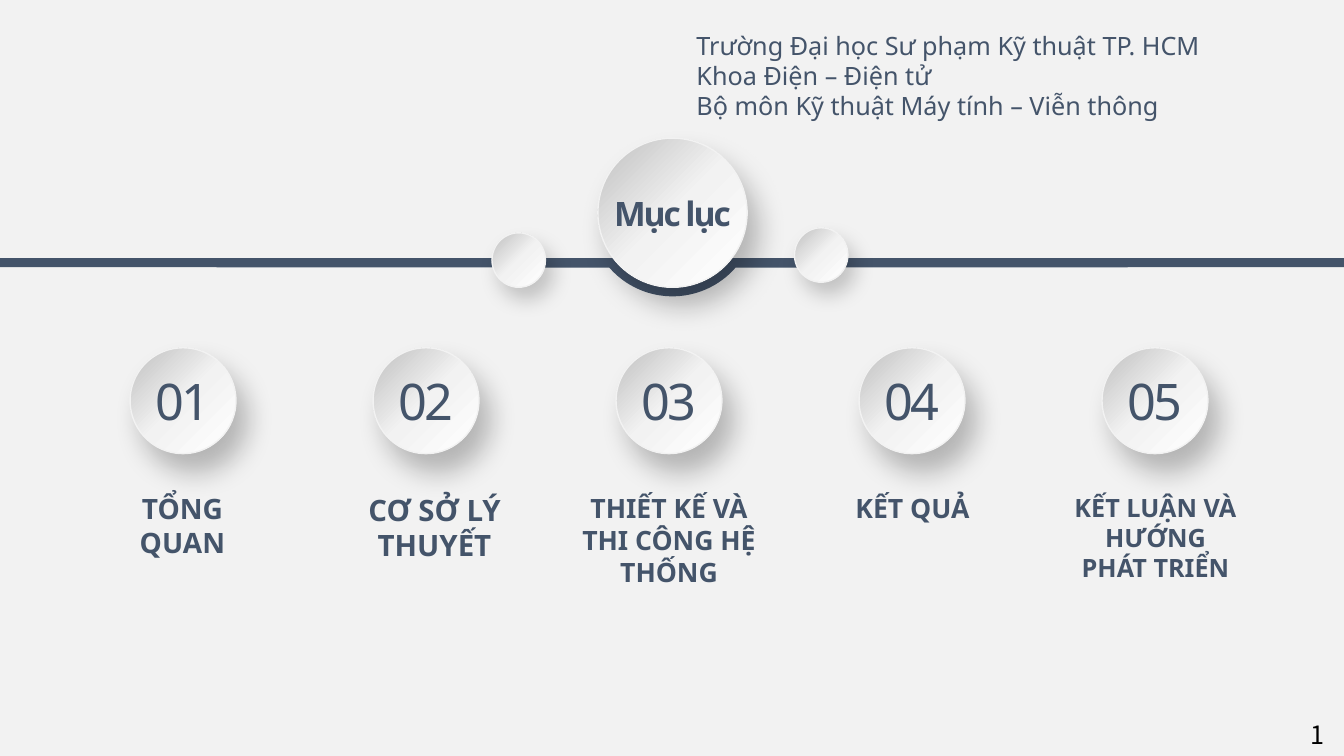
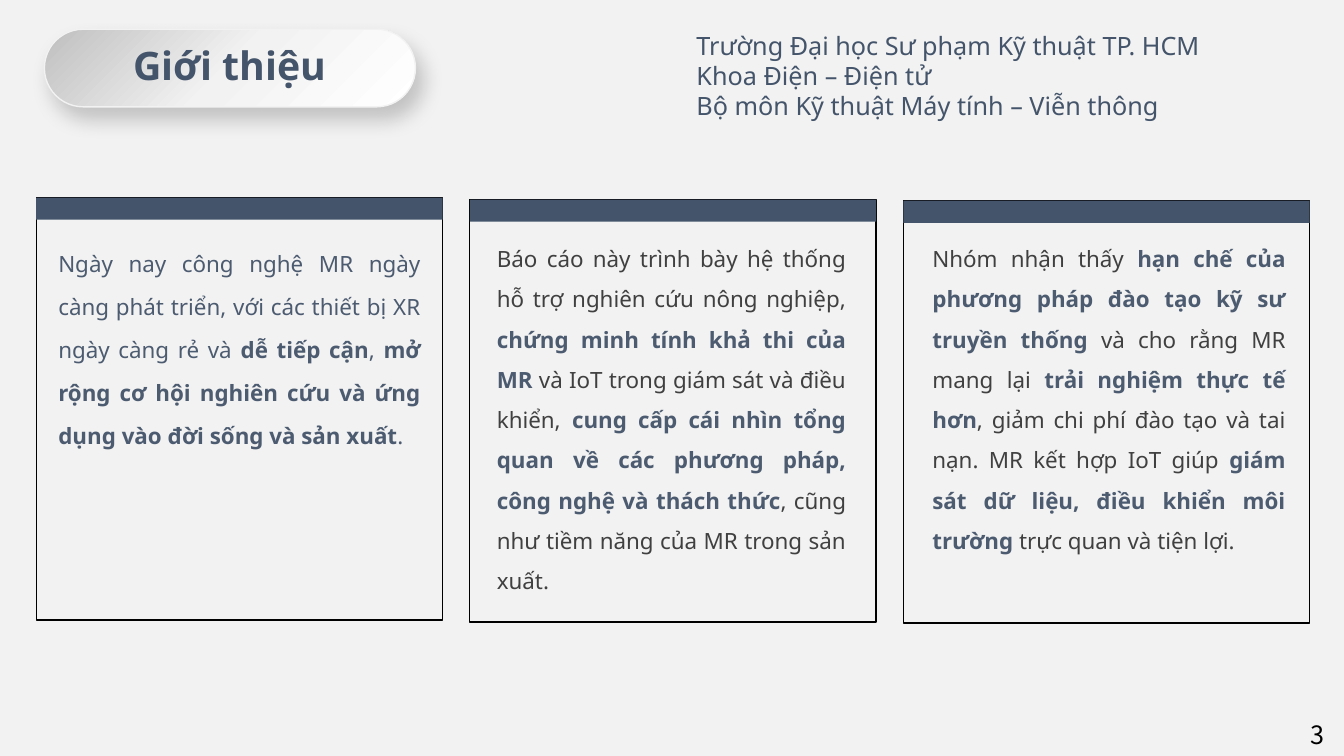
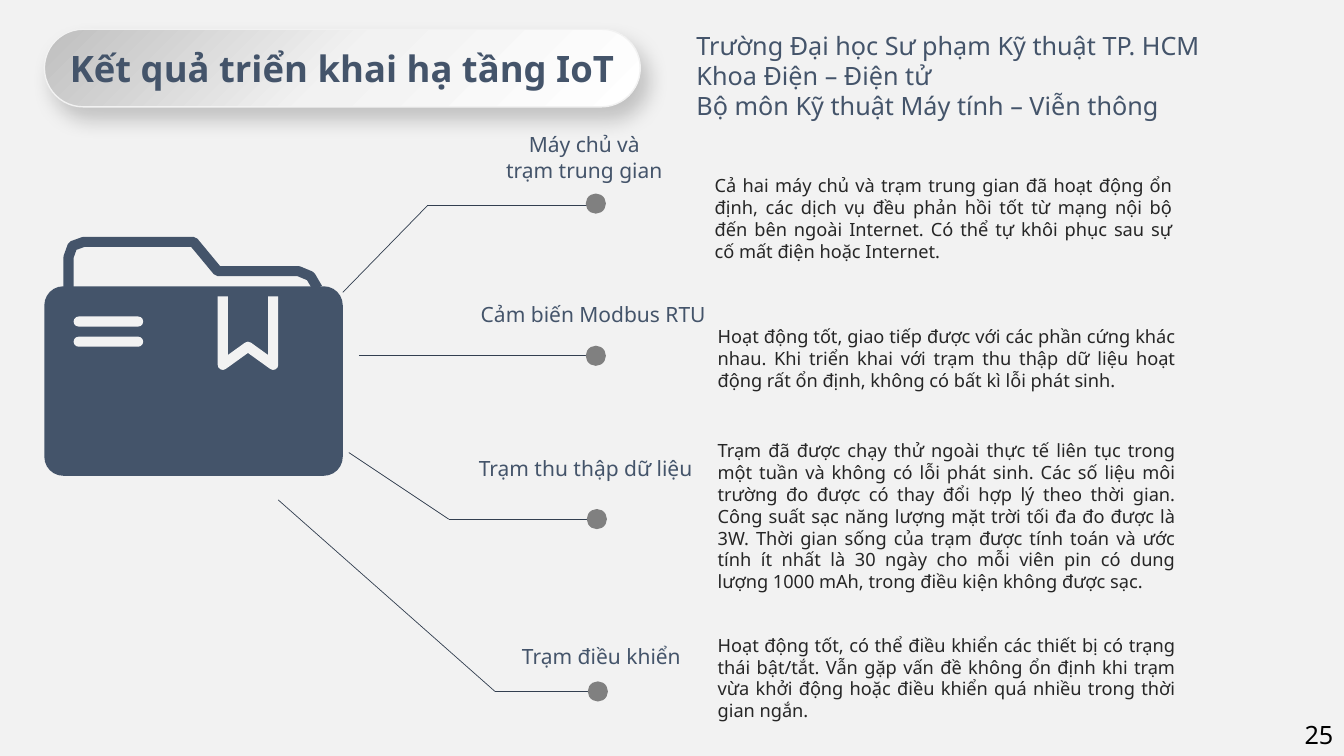
"""Builds three slides of a thesis talk: contents, introduction and IoT results."""
import math
from dataclasses import dataclass

from pptx import Presentation, util as u
from pptx.dml.color import RGBColor
from pptx.enum import shapes, text
from pptx.oxml import parse_xml
from pptx.oxml.ns import nsdecls


@dataclass(frozen=True)
class Theme:
    font: str = "Noto Sans"
    num: str = "Noto Sans CJK SC"
    navy: str = "44546A"
    slate: str = "4C5B70"
    pale: str = "F2F2F2"
    grey: str = "BFBFBF"
    white: str = "FFFFFF"
    black: str = "000000"
    dot: str = "808080"
    wire: str = "333F50"
    dark: str = "404040"
    ink: str = "262626"
    head: int = 18
    index: int = 36
    card: int = 16
    label: int = 15
    body: int = 13
    deep: tuple = (25, 20, 15)
    soft: tuple = (20, 15, 10)


T = Theme()
FORM = shapes.MSO_SHAPE
LEFT, MID, JUST = text.PP_ALIGN.LEFT, text.PP_ALIGN.CENTER, text.PP_ALIGN.JUSTIFY


def write(box, words, size, tint=T.navy, bold=False, align=LEFT, gap=None,
          font=T.font, track=0, hot=T.slate):
    """Fills a shape with text; parts between asterisks are bold."""
    frame = box.text_frame
    frame.word_wrap = True
    frame.auto_size = text.MSO_AUTO_SIZE.NONE
    for row, line in enumerate(words.split("\n")):
        para = frame.add_paragraph() if row else frame.paragraphs[0]
        para.alignment = align
        if gap:
            para.line_spacing = gap
        for part, piece in enumerate(line.split("*")):
            run = para.add_run()
            run.text = piece
            run.font.name, run.font.size = font, u.Pt(size)
            run.font.bold = bold or part % 2 == 1
            run.font.color.rgb = RGBColor.from_string(hot if part % 2 else tint)
            if track:
                run.font._element.set("spc", str(track))


def paint(shape, tint=None, edge=None, width=1, glow=None):
    """Sets fill and line; glow gives the raised look with a shadow."""
    shape.shadow.inherit = False
    if tint:
        shape.fill.solid()
        shape.fill.fore_color.rgb = RGBColor.from_string(tint)
    else:
        shape.fill.background()
    if edge:
        shape.line.color.rgb = RGBColor.from_string(edge)
        shape.line.width = u.Pt(width)
    else:
        shape.line.fill.background()
    if glow:
        alpha, blur, far = glow
        shape.fill.gradient()
        shape.fill.gradient_angle = 315
        stops = "".join(
            f'<a:gs pos="{pos}000"><a:srgbClr val="{shade}"/></a:gs>'
            for pos, shade in ((0, T.grey), (50, T.pale), (100, T.white)))
        old = shape._element.spPr.find(".//{*}gsLst")
        old.getparent().replace(
            old, parse_xml(f'<a:gsLst {nsdecls("a")}>{stops}</a:gsLst>'))
        shape._element.spPr.find("{*}effectLst").append(parse_xml(
            f'<a:outerShdw {nsdecls("a")} blurRad="{u.Pt(blur)}" dist="{u.Pt(far)}"'
            f' dir="{59 * 60000}" algn="tl" rotWithShape="0"><a:srgbClr val="{T.black}">'
            f'<a:alpha val="{alpha}000"/></a:srgbClr></a:outerShdw>'))


prs = Presentation()
prs.slide_width, prs.slide_height = u.Inches(13.33), u.Inches(7.5)
back = prs.slide_master.background.fill
back.solid()
back.fore_color.rgb = RGBColor.from_string(T.pale)

school = ("Trường Đại học Sư phạm Kỹ thuật TP. HCM\nKhoa Điện – Điện tử\n"
          "Bộ môn Kỹ thuật Máy tính – Viễn thông")
pages = [
    ("Mục lục", FORM.OVAL, (5.93, 1.37, 1.48, 1.48), 24, T.deep, -150, None,
     "1", 12.9, T.num),
    ("Giới thiệu", FORM.ROUNDED_RECTANGLE, (0.44, 0.29, 3.68, 0.77), 28, T.soft, 0, 0.9,
     "3", 12.9, T.num),
    ("Kết quả triển khai hạ tầng IoT", FORM.ROUNDED_RECTANGLE,
     (0.44, 0.29, 5.91, 0.77), 26, T.soft, 0, None, "25", 12.84, T.font),
]
decks = []
for name, form, at, size, glow, track, gap, page, left, font in pages:
    slide = prs.slides.add_slide(prs.slide_layouts[5])
    decks.append(slide.shapes)
    plate = slide.shapes.add_shape(form, *map(u.Inches, at))
    if form == FORM.ROUNDED_RECTANGLE:
        plate.adjustments[0] = 0.5
    paint(plate, T.pale, T.pale, glow=glow)
    title = slide.shapes.title
    title.left, title.top, title.width, title.height = map(u.Inches, at)
    title.text_frame.vertical_anchor = text.MSO_ANCHOR.MIDDLE
    write(title, name, size, bold=True, align=MID, gap=gap, track=track)
    plate._element.addnext(title._element)
    head = slide.shapes.add_textbox(*map(u.Inches, (6.81, 0.25, 5.33, 1.01)))
    write(head, school, T.head)
    foot = slide.shapes.add_textbox(*map(u.Inches, (left, 7.09, 13.34 - left, 0.4)))
    write(foot, page, T.head, T.black, font=font)
menu, intro, iot = decks

arc = [(6.67 + 0.83 * math.cos(math.radians(a)), 2.11 + 0.83 * math.sin(math.radians(a)))
       for a in range(41, 140, 2)]
rim = [(0, 2.56), (13.33, 2.56), (13.33, 2.65), *arc, (0, 2.65)]
pen = menu.build_freeform(*map(u.Inches, rim[0]))
pen.add_line_segments([tuple(map(u.Inches, spot)) for spot in rim[1:]])
band = pen.convert_to_shape()
paint(band, T.navy)
menu._spTree.insert(2, band._element)

for left, top in ((4.88, 2.31), (7.88, 2.26)):
    bead = menu.add_shape(FORM.OVAL, *map(u.Inches, (left, top, 0.53, 0.54)))
    paint(bead, T.pale, T.pale, glow=T.soft)

parts = [
    ("TỔNG QUAN", 0.98, 1.66, 20),
    ("CƠ SỞ LÝ THUYẾT", 3.48, 1.66, 21),
    ("THIẾT KẾ VÀ THI CÔNG HỆ THỐNG", 5.64, 1.99, 19),
    ("KẾT QUẢ", 8.22, 1.66, 19),
    ("KẾT LUẬN VÀ HƯỚNG PHÁT TRIỂN", 10.54, 1.84, 18),
]
for i, (name, left, width, size) in enumerate(parts):
    disc = menu.add_shape(FORM.OVAL, *map(u.Inches, (1.29 + 2.41 * i, 3.45, 1.05, 1.05)))
    paint(disc, T.pale, T.pale, glow=T.deep)
    write(disc, f"{i + 1:02}", T.index, align=MID, track=-150)
    disc.text_frame.word_wrap = False
    label = menu.add_textbox(*map(u.Inches, (left, 4.83, width, 1.05)))
    write(label, name, size, bold=True, align=MID)

cards = [
    (1.96, (0.48, 2.27, 3.79, 4.35), T.slate, 1.6,
     "Ngày nay công nghệ MR ngày càng phát triển, với các thiết bị XR ngày càng rẻ và "
     "*dễ tiếp cận*, *mở rộng cơ hội nghiên cứu và ứng dụng vào đời sống và sản xuất*."),
    (1.98, (4.83, 2.25, 3.66, 4.35), T.dark, 1.5,
     "Báo cáo này trình bày hệ thống hỗ trợ nghiên cứu nông nghiệp, "
     "*chứng minh tính khả thi của MR *và IoT trong giám sát và điều khiển, "
     "*cung cấp cái nhìn tổng quan về các phương pháp, công nghệ và thách thức*"
     ", cũng như tiềm năng của MR trong sản xuất."),
    (1.99, (9.15, 2.25, 3.7, 4.35), T.dark, 1.5,
     "Nhóm nhận thấy *hạn chế của phương pháp đào tạo kỹ sư truyền thống* và cho rằng MR "
     "mang lại *trải nghiệm thực tế hơn*, giảm chi phí đào tạo và tai nạn. MR kết hợp IoT "
     "giúp *giám sát dữ liệu, điều khiển môi trường* trực quan và tiện lợi."),
]
for i, (top, at, tint, gap, words) in enumerate(cards):
    for tall, fill, edge in ((4.19, T.pale, T.black), (0.22, T.navy, None)):
        panel = intro.add_shape(FORM.RECTANGLE,
                                *map(u.Inches, (0.36 + 4.3 * i, top, 4.03, tall)))
        paint(panel, fill, edge)
    note = intro.add_textbox(*map(u.Inches, at))
    write(note, words, T.card, tint, align=JUST, gap=gap)

tab = [(0.68, 2.9), (0.68, 2.55), (0.72, 2.44), (0.83, 2.4), (1.92, 2.4), (2.16, 2.69),
       (2.96, 2.69), (3.08, 2.74), (3.15, 2.86)]
mark = [(2.21, 2.94), (2.21, 3.62), (2.46, 3.44), (2.71, 3.62), (2.71, 2.94)]
plates = [((0.44, 2.84, 2.96, 1.88), 0.1, T.navy)]
plates += [((0.73, top, 0.69, 0.1), 0.5, T.pale) for top in (3.14, 3.34)]
for at, bend, tint in plates:
    leaf = iot.add_shape(FORM.ROUNDED_RECTANGLE, *map(u.Inches, at))
    leaf.adjustments[0] = bend
    paint(leaf, tint)
for line, tint in ((tab, T.navy), (mark, T.pale)):
    pen = iot.build_freeform(*map(u.Inches, line[0]))
    pen.add_line_segments([tuple(map(u.Inches, spot)) for spot in line[1:]], close=False)
    paint(pen.convert_to_shape(), edge=tint, width=7.2)

nodes = [
    ([(3.4, 2.9), (4.24, 2.04), (5.92, 2.04)], (5.81, 1.92),
     "Máy chủ và\ntrạm trung gian", (4.42, 1.26, 2.75, 0.67), MID, (6.99, 1.68, 4.73, 0.75),
     "Cả hai máy chủ và trạm trung gian đã hoạt động ổn định, các dịch vụ đều phản hồi tốt "
     "từ mạng nội bộ đến bên ngoài Internet. Có thể tự khôi phục sau sự cố mất điện hoặc "
     "Internet."),
    ([(3.56, 3.53), (5.92, 3.53)], (5.81, 3.43),
     "Cảm biến Modbus RTU", (4.67, 2.94, 2.44, 0.35), JUST, (7.02, 3.18, 4.73, 0.75),
     "Hoạt động tốt, giao tiếp được với các phần cứng khác nhau. Khi triển khai với trạm "
     "thu thập dữ liệu hoạt động rất ổn định, không có bất kì lỗi phát sinh."),
    ([(3.46, 4.49), (4.45, 5.15), (5.92, 5.15)], (5.82, 5.05),
     "Trạm thu thập dữ liệu", (4.65, 4.47, 2.35, 0.35), JUST, (7.02, 4.31, 4.73, 1.72),
     "Trạm đã được chạy thử ngoài thực tế liên tục trong một tuần và không có lỗi phát "
     "sinh. Các số liệu môi trường đo được có thay đổi hợp lý theo thời gian. Công suất "
     "sạc năng lượng mặt trời tối đa đo được là 3W. Thời gian sống của trạm được tính toán "
     "và ước tính ít nhất là 30 ngày cho mỗi viên pin có dung lượng 1000 mAh, trong điều "
     "kiện không được sạc."),
    ([(2.76, 4.96), (4.91, 6.86), (6.02, 6.86)], (5.83, 6.76),
     "Trạm điều khiển", (4.79, 6.33, 2.35, 0.35), MID, (7.02, 6.24, 4.73, 0.99),
     "Hoạt động tốt, có thể điều khiển các thiết bị có trạng thái bật/tắt. Vẫn gặp vấn đề "
     "không ổn định khi trạm vừa khởi động hoặc điều khiển quá nhiều trong thời gian ngắn."),
]
for route, spot, name, at, align, place, words in nodes:
    for start, end in zip(route, route[1:]):
        wire = iot.add_connector(shapes.MSO_CONNECTOR.STRAIGHT,
                                 *map(u.Inches, start + end))
        wire.line.color.rgb = RGBColor.from_string(T.wire)
        wire.line.width = u.Pt(0.5)
        wire._element.spPr.append(parse_xml(f'<a:effectLst {nsdecls("a")}/>'))
    dot = iot.add_shape(FORM.OVAL, *map(u.Inches, spot + (0.2, 0.2)))
    paint(dot, T.dot)
    write(iot.add_textbox(*map(u.Inches, at)), name, T.label, align=align)
    write(iot.add_textbox(*map(u.Inches, place)), words, T.body, T.ink, align=JUST)

prs.save("out.pptx")
